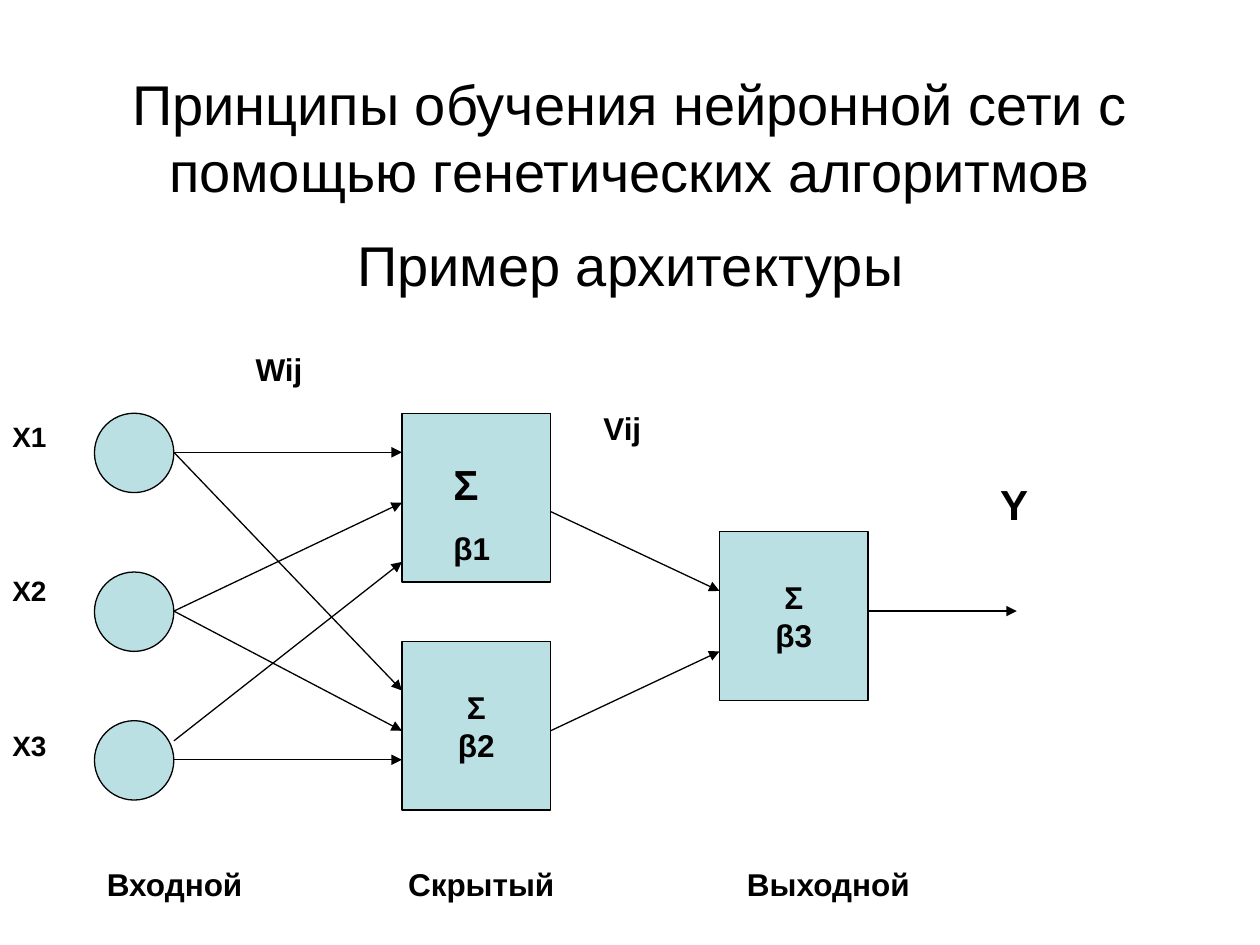
import pptx
import pptx.dml.color
import pptx.enum.shapes
import pptx.enum.text
import pptx.oxml
import pptx.oxml.ns
import pptx.util

Inches = pptx.util.Inches
Pt = pptx.util.Pt
Shape = pptx.enum.shapes.MSO_SHAPE
Align = pptx.enum.text.PP_ALIGN
Anchor = pptx.enum.text.MSO_ANCHOR
COLORS = {name: pptx.dml.color.RGBColor.from_string(value)
          for name, value in {"ink": "000000", "node": "BBE0E3"}.items()}
DRAWING = pptx.oxml.ns.nsdecls("a")


def write(box, lines, align=Align.LEFT, anchor=Anchor.TOP, wrap=True, bold=True):
    """Fill a shape with (text, size, space before) lines."""
    frame = box.text_frame
    settings = {"word_wrap": wrap, "vertical_anchor": anchor,
                "auto_size": pptx.enum.text.MSO_AUTO_SIZE.NONE,
                "margin_left": Inches(0.1), "margin_right": Inches(0.1),
                "margin_top": Inches(0.05), "margin_bottom": Inches(0.05)}
    for name, value in settings.items():
        setattr(frame, name, value)
    for index, (text, size, before) in enumerate(lines):
        para = frame.add_paragraph() if index else frame.paragraphs[0]
        para.alignment = align
        para.space_before = Pt(before)
        span = para.add_run()
        span.text = text
        for name, value in {"name": "Arial", "size": Pt(size), "bold": bold}.items():
            setattr(span.font, name, value)
        span.font.color.rgb = COLORS["ink"]


def add_node(kind, left, top, width, height):
    """Add a network node with the common fill and outline."""
    node = page.shapes.add_shape(kind, *map(Inches, (left, top, width, height)))
    node.shadow.inherit = False
    node.fill.solid()
    node.fill.fore_color.rgb = COLORS["node"]
    node.line.color.rgb = COLORS["ink"]
    node.line.width = Pt(0.75)
    return node


deck = pptx.Presentation()
deck.slide_width, deck.slide_height = Inches(10), Inches(7.5)
page = deck.slides.add_slide(deck.slide_layouts[0])

# Title and subtitle
headings = [
    (page.shapes.title, (0.75, 0.28, 8.5, 1.61), Anchor.MIDDLE,
     "Принципы обучения нейронной сети с помощью генетических алгоритмов"),
    (page.placeholders[1], (0.2, 1.78, 9.61, 5.51), Anchor.TOP, "Пример архитектуры"),
]
for box, place, anchor, text in headings:
    for name, value in zip(("left", "top", "width", "height"), place):
        setattr(box, name, Inches(value))
    write(box, [(text, 32, 0)], Align.CENTER, anchor, bold=False)

# Input neurons
for top in (3.28, 4.54, 5.72):
    add_node(Shape.OVAL, 0.75, top, 0.63, 0.63)

# Hidden and output neurons; the first one is labelled by a separate box
for left, top, bias in ((3.19, 3.28, None), (3.19, 5.09, "β2"), (5.71, 4.22, "β3")):
    neuron = add_node(Shape.RECTANGLE, left, top, 1.18, 1.34)
    if bias:
        write(neuron, [("Σ", 18, 0), (bias, 18, 0)], Align.CENTER, Anchor.MIDDLE, False)

# Arrows between layers: (x from, x to, [(y from, y to), ...])
layers = [
    (1.38, 3.19, [(3.59, 3.59), (3.59, 5.48), (4.85, 3.99),
                  (4.85, 5.8), (5.88, 4.46), (6.03, 6.03)]),
    (4.37, 5.71, [(4.06, 4.69), (5.8, 5.17)]),
    (6.89, 8.07, [(4.85, 4.85)]),
]
for start, end, heights in layers:
    for y_from, y_to in heights:
        arrow = page.shapes.add_connector(
            pptx.enum.shapes.MSO_CONNECTOR.STRAIGHT,
            *map(Inches, (start, y_from, end, y_to)))
        arrow.line.color.rgb = COLORS["ink"]
        arrow.line.width = Pt(0.75)
        arrow.line._get_or_add_ln().append(
            pptx.oxml.parse_xml(f'<a:tailEnd {DRAWING} type="triangle"/>'))
        arrow._element.spPr.append(pptx.oxml.parse_xml(f"<a:effectLst {DRAWING}/>"))

# Labels of inputs, weights, output and layers
labels = [
    ((0, 3.28, 0.51, 3.61), [("Х1", 16, 0), ("Х2", 16, 69), ("Х3", 16, 69)]),
    ((1.93, 2.73, 0.63, 0.4), [("Wij", 18, 0)]),
    ((4.69, 3.2, 0.63, 0.4), [("Vij", 18, 0)]),
    ((3.5, 3.59, 0.55, 0.96), [("Σ", 24, 0), ("β1", 18, 11.2)]),
    ((7.84, 3.75, 0.94, 0.5), [("Y", 24, 0)]),
    ((0.75, 6.82, 8.35, 0.4), [("Входной\tСкрытый\tВыходной", 18, 0)]),
]
for place, lines in labels:
    box = page.shapes.add_textbox(*map(Inches, place))
    write(box, lines)

# Tab stops line the layer names up under their columns
stops = "".join(f'<a:tab pos="{Inches(stop)}" algn="l"/>' for stop in (2.39, 5.08))
box.text_frame.paragraphs[0]._p.get_or_add_pPr().append(
    pptx.oxml.parse_xml(f"<a:tabLst {DRAWING}>{stops}</a:tabLst>"))

deck.save("out.pptx")
